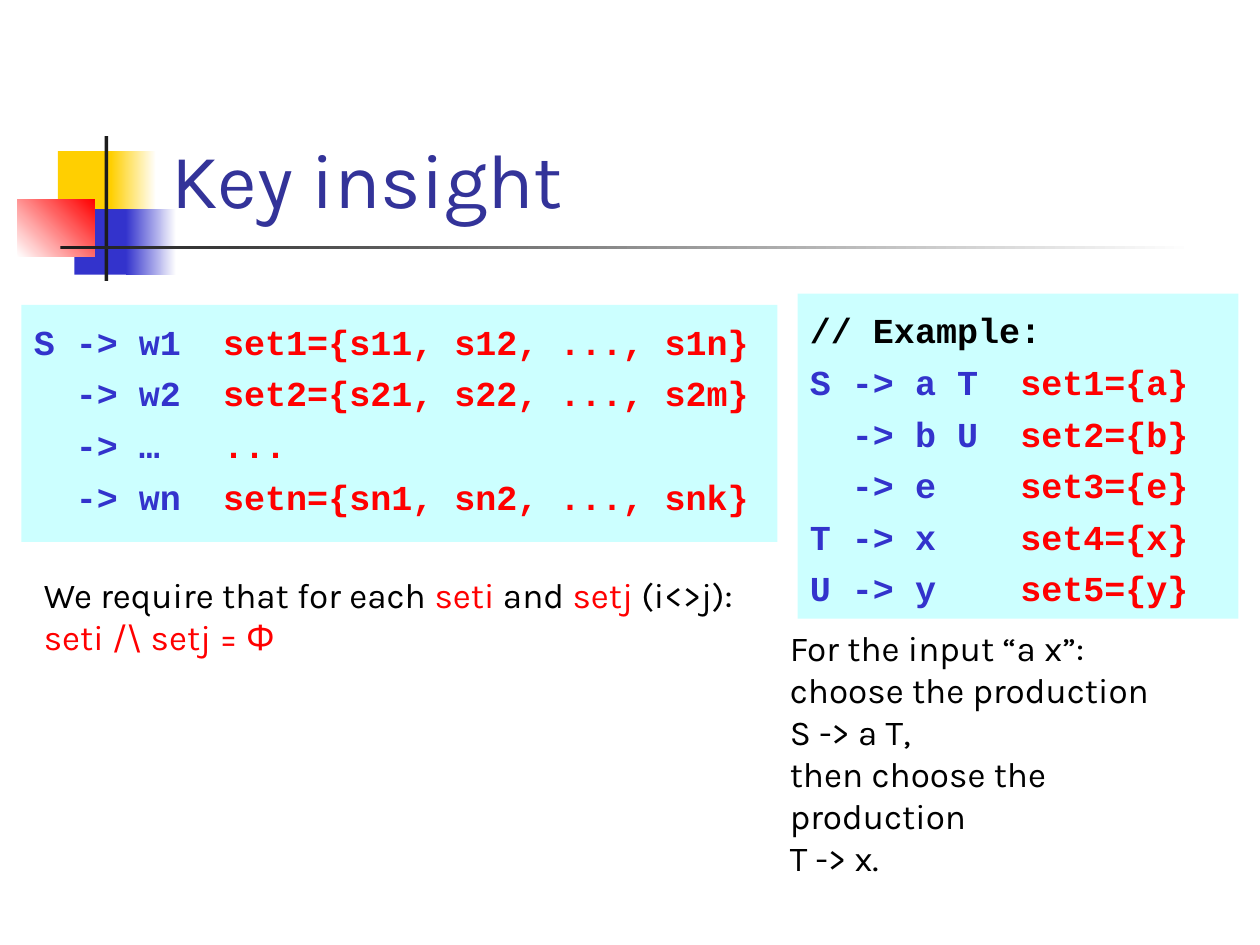
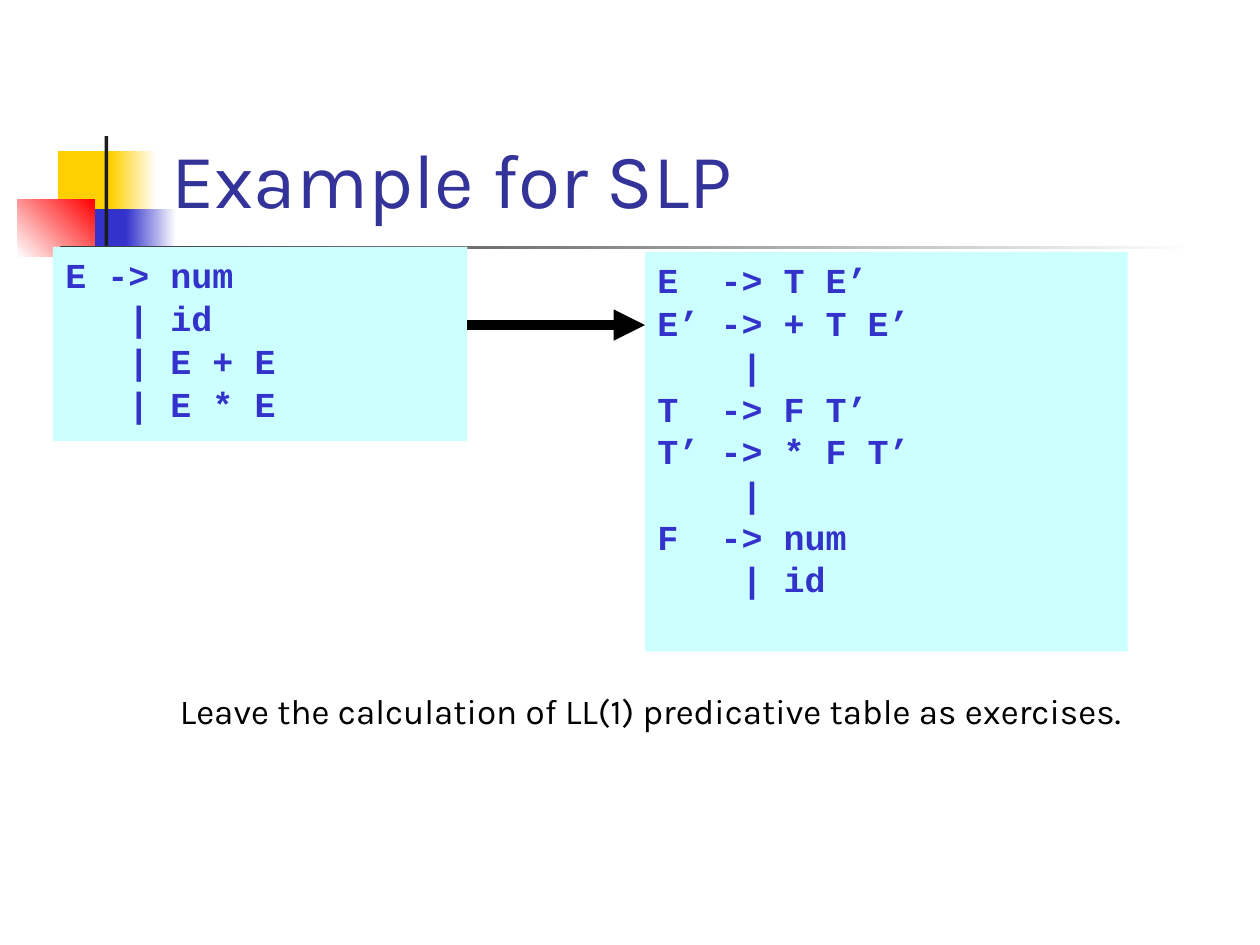
import pptx
import pptx.util
import pptx.dml.color
import pptx.enum.shapes
import pptx.enum.text
import pptx.oxml
import pptx.oxml.ns

Inches = pptx.util.Inches
Pt = pptx.util.Pt

HUES = {
    "title": "333399", "blue": "3333CC", "red": "FF0000", "gold": "FFCF01",
    "ink": "1C1C1C", "black": "000000", "white": "FFFFFF", "pale": "CCFFFF",
}
PROSE = {"font": "Karla", "hue": "black"}
CODE = {"font": "Courier New", "hue": "blue", "bold": True, "fill": "pale", "top": 0.12}
LOOSE = {**CODE, "gap": 5.5}
TIGHT = {**CODE, "gap": 5.2, "line": 0.8}

BAND = [
    ((0.46, 1.2, 0.48, 0.52), ["gold"], 0),
    ((0.88, 1.2, 0.36, 0.52), ["gold", "white"], 0),
    ((0.59, 1.66, 0.46, 0.52), ["blue"], 0),
    ((1, 1.66, 0.4, 0.52), ["blue", "white"], 0),
    ((0.14, 1.58, 0.61, 0.46), ["white", "red"], 45),
    ((0.83, 1.08, 0.03, 1.15), ["ink"], 0),
    ((0.48, 1.95, 9, 0.03), ["ink", "white"], 0),
]

RULES = [
    [("S -> w1  ", "blue"), ("set1={s11, s12, ..., s1n}", "red")],
    [("  -> w2  ", "blue"), ("set2={s21, s22, ..., s2m}", "red")],
    [("  -> …   ", "blue"), ("...", "red")],
    [("  -> wn  ", "blue"), ("setn={sn1, sn2, ..., snk}", "red")],
]
NEED = [
    ["We require that for each ", ("seti", "red"), " and ", ("setj", "red"), " (i<>j):"],
    [("seti /\\ setj = Φ", "red")],
]
SAMPLE = [
    [("// Example:", "black")],
    ["S -> a T  ", ("set1={a}", "red")],
    ["  -> b U  ", ("set2={b}", "red")],
    ["  -> e    ", ("set3={e}", "red")],
    ["T -> x    ", ("set4={x}", "red")],
    ["U -> y    ", ("set5={y}", "red")],
]
STEPS = ["For the input “a x”:", "choose the production", "S -> a T,",
         "then choose the production", "T -> x."]
BEFORE = ["E -> num", "   | id", "   | E + E", "   | E * E"]
AFTER = ["E  -> T E’", "E’ -> + T E’", "    |", "T  -> F T’",
         "T’ -> * F T’", "    |", "F  -> num", "    | id"]
TASK = ["Leave the calculation of LL(1) predicative table as exercises."]

SLIDES = [
    ("Key insight", [
        (RULES, (0.17, 2.42, 6, 1.88), LOOSE),
        (NEED, (0.25, 4.5, 6, 0.77), PROSE),
        (SAMPLE, (6.33, 2.33, 3.5, 2.58), LOOSE),
        (STEPS, (6.17, 4.92, 3.58, 1.78), PROSE),
    ], []),
    ("Example for SLP", [
        (TASK, (1.33, 5.42, 8.17, 0.44), PROSE),
        (BEFORE, (0.42, 1.96, 3.29, 1.54), TIGHT),
        (AFTER, (5.12, 2, 3.83, 3.17), TIGHT),
    ], [(3.71, 2.58, 5.12, 2.58)]),
]


def color(name):
    return pptx.dml.color.RGBColor.from_string(HUES[name])


def block(slide, box, hues, angle):
    kind = pptx.enum.shapes.MSO_SHAPE.RECTANGLE
    shape = slide.shapes.add_shape(kind, *map(Inches, box))
    shape.shadow.inherit = False
    shape.line.fill.background()
    if len(hues) == 1:
        shape.fill.solid()
        shape.fill.fore_color.rgb = color(hues[0])
    else:
        shape.fill.gradient()
        shape.fill.gradient_angle = angle
        for stop, hue in zip(shape.fill.gradient_stops, hues):
            stop.color.rgb = color(hue)


def write(slide, lines, box, font="Karla", hue="black", size=20, bold=False,
          fill=None, top=0.05, gap=0, line=None, anchor="TOP"):
    shape = slide.shapes.add_textbox(*map(Inches, box))
    if fill:
        shape.fill.solid()
        shape.fill.fore_color.rgb = color(fill)
    frame = shape.text_frame
    frame.word_wrap = True
    frame.margin_top = Inches(top)
    frame.vertical_anchor = getattr(pptx.enum.text.MSO_ANCHOR, anchor)
    for i, parts in enumerate(lines):
        para = frame.add_paragraph() if i else frame.paragraphs[0]
        if i and gap:
            para.space_before = Pt(gap)
        if line:
            para.line_spacing = line
        for part in [parts] if isinstance(parts, str) else parts:
            text, tint = (part, hue) if isinstance(part, str) else part
            run = para.add_run()
            run.text = text
            run.font.name = font
            run.font.size = Pt(size)
            run.font.bold = bold
            run.font.color.rgb = color(tint)


def arrow(slide, ends):
    kind = pptx.enum.shapes.MSO_CONNECTOR.STRAIGHT
    link = slide.shapes.add_connector(kind, *map(Inches, ends))
    link.line.color.rgb = color("black")
    link.line.width = Pt(6)
    make = pptx.oxml.ns.qn
    tip = link.line._get_or_add_ln().makeelement(make("a:tailEnd"), {"type": "triangle"})
    link.line._get_or_add_ln().append(tip)
    props = link._element.spPr
    props.append(props.makeelement(make("a:effectLst"), {}))


def main():
    deck = pptx.Presentation()
    deck.slide_width, deck.slide_height = Inches(10), Inches(7.5)
    for title, texts, links in SLIDES:
        slide = deck.slides.add_slide(deck.slide_layouts[6])
        for box, hues, angle in BAND:
            block(slide, box, hues, angle)
        write(slide, [title], (1.26, 0.23, 8.52, 1.6), hue="title", size=44, anchor="BOTTOM")
        for lines, box, style in texts:
            write(slide, lines, box, **style)
        for ends in links:
            arrow(slide, ends)
    deck.save("out.pptx")


if __name__ == "__main__":
    main()
